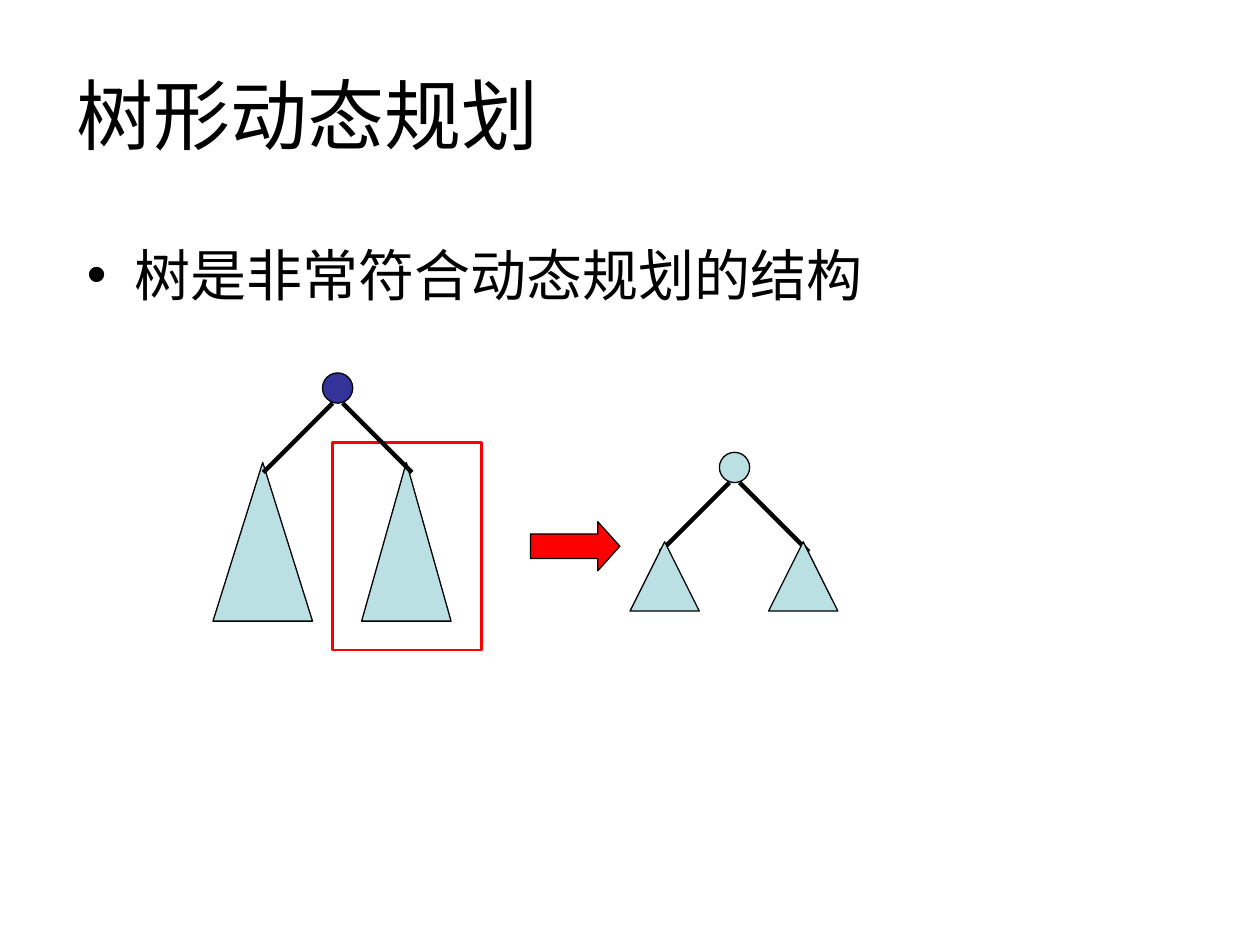
from pptx import Presentation
from pptx.dml.color import RGBColor
from pptx.enum.shapes import MSO_CONNECTOR as LINK, MSO_SHAPE as SHAPE
from pptx.enum.text import MSO_ANCHOR, MSO_AUTO_SIZE, PP_ALIGN
from pptx.oxml.ns import qn
from pptx.util import Inches, Pt

# Content
TITLE = "树形动态规划"
BULLET = "树是非常符合动态规划的结构"

THEME = {
    "text": "000000", "outline": "000000", "root": "333399",
    "subtree": "BBE0E3", "highlight": "FF0000",
    "title_font": "Noto Sans CJK SC", "body_font": "Arial",
    "cjk_font": "Noto Sans CJK SC",
    "title_size": 44, "body_size": 32,
    "outline_width": 0.75, "frame_width": 1.5, "edge_width": 2.5,
}

# Each tree: node position, edge drop, subtree boxes (left, top, width, height)
NODE_SIZE = 0.24
EDGE_GAP = 0.04  # distance of an edge's upper end from the node's centre line
WHOLE_TREE = {
    "node": (2.56, 2.96), "fill": "root", "drop": 0.55,
    "subtrees": [(2.87, 3.67, 0.71, 1.26), (1.69, 3.67, 0.79, 1.26)],
}
SUBPROBLEM = {
    "node": (5.71, 3.59), "fill": "subtree", "drop": 0.55,
    "subtrees": [(5.0, 4.3, 0.55, 0.55), (6.1, 4.3, 0.55, 0.55)],
}
FRAME = (2.64, 3.51, 1.18, 1.65)
ARROW = (4.21, 4.14, 0.71, 0.39)


def color(key):
    return RGBColor.from_string(THEME[key])


def fill_placeholder(placeholder, box, text, font, size, anchor):
    placeholder.left, placeholder.top, placeholder.width, placeholder.height = map(Inches, box)
    frame = placeholder.text_frame
    frame.text = text
    frame.word_wrap = True
    frame.auto_size = MSO_AUTO_SIZE.NONE
    frame.vertical_anchor = anchor
    paragraph = frame.paragraphs[0]
    paragraph.alignment = PP_ALIGN.LEFT
    paragraph.space_before = Pt(0)
    run = paragraph.runs[0]
    run.font.name = THEME[font]
    run.font.size = Pt(THEME[size])
    run.font.color.rgb = color("text")
    east_asian = run.font._element.makeelement(qn("a:ea"), {"typeface": THEME["cjk_font"]})
    run.font._element.find(qn("a:latin")).addnext(east_asian)


def add_part(slide, kind, box, fill=None, line="outline", width="outline_width"):
    part = slide.shapes.add_shape(kind, *map(Inches, box))
    part.shadow.inherit = False
    if fill:
        part.fill.solid()
        part.fill.fore_color.rgb = color(fill)
    else:
        part.fill.background()
    part.line.color.rgb = color(line)
    part.line.width = Pt(THEME[width])
    return part


def add_subtrees(slide, tree):
    for box in tree["subtrees"]:
        add_part(slide, SHAPE.ISOSCELES_TRIANGLE, box, "subtree")


def add_root(slide, tree):
    left, top = tree["node"]
    center, bottom, drop = left + NODE_SIZE / 2, top + NODE_SIZE, tree["drop"]
    for side in (-1, 1):
        start = center + side * EDGE_GAP
        ends = (start, bottom, start + side * drop, bottom + drop)
        edge = slide.shapes.add_connector(LINK.STRAIGHT, *map(Inches, ends))
        edge.line.color.rgb = color("outline")
        edge.line.width = Pt(THEME["edge_width"])
        properties = edge._element.spPr
        properties.append(properties.makeelement(qn("a:effectLst"), {}))
    add_part(slide, SHAPE.FLOWCHART_CONNECTOR, (left, top, NODE_SIZE, NODE_SIZE), tree["fill"])


def main():
    deck = Presentation()
    deck.slide_width, deck.slide_height = Inches(10), Inches(7.5)
    slide = deck.slides.add_slide(deck.slide_layouts[1])

    # Title and bullet
    title, body = slide.placeholders
    fill_placeholder(title, (0.51, 0.28, 9, 1.25), TITLE,
                     "title_font", "title_size", MSO_ANCHOR.MIDDLE)
    fill_placeholder(body, (0.59, 1.86, 9, 4.95), BULLET,
                     "body_font", "body_size", MSO_ANCHOR.TOP)

    # Whole tree, with one subtree framed
    add_subtrees(slide, WHOLE_TREE)
    add_part(slide, SHAPE.RECTANGLE, FRAME, line="highlight", width="frame_width")
    add_root(slide, WHOLE_TREE)

    # Arrow to the framed subtree as a smaller problem
    arrow = add_part(slide, SHAPE.RIGHT_ARROW, ARROW, "highlight")
    arrow.adjustments[1] = 0.45
    add_root(slide, SUBPROBLEM)
    add_subtrees(slide, SUBPROBLEM)

    deck.save("out.pptx")


if __name__ == "__main__":
    main()
